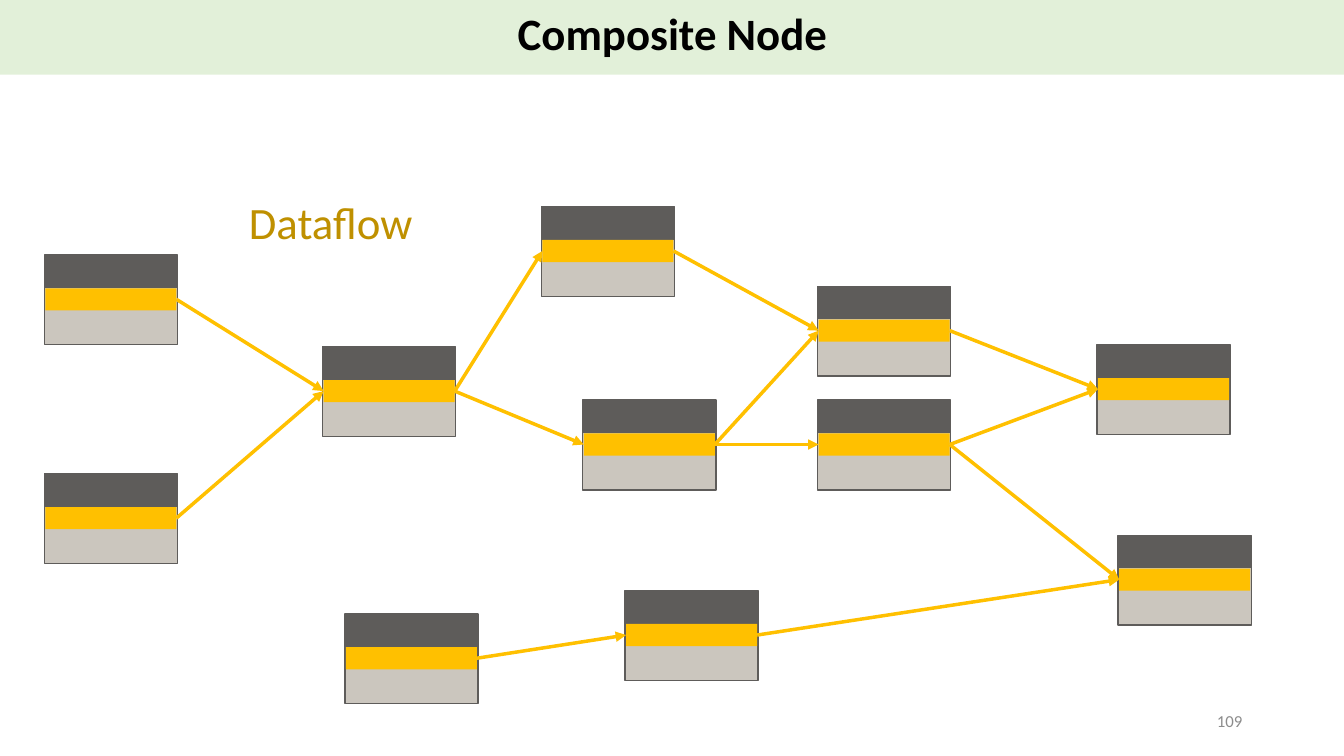
from lxml.etree import SubElement
from pptx import Presentation
from pptx.dml.color import RGBColor
from pptx.enum.shapes import MSO_CONNECTOR, MSO_SHAPE
from pptx.enum.text import MSO_ANCHOR, PP_ALIGN
from pptx.oxml.ns import qn
from pptx.util import Inches, Pt

COLORS = {
    "header": "5E5C5A",
    "body": "CBC6BE",
    "flow": "FFC000",
    "banner": "E2F0D9",
    "title": "000000",
    "label": "BF9000",
    "number": "8C8C8C",
}

NODE_WIDTH = 1.32
HEADER_HEIGHT = 0.32
BODY_HEIGHT = 0.57
BAND_INSET = 0.01
BAND_HEIGHT = 0.22
LEFT_SIDE, RIGHT_SIDE = 1, 3

NODES = {
    "source_top": (0.44, 2.53),
    "source_bottom": (0.44, 4.7),
    "merge": (3.2, 3.44),
    "branch_top": (5.37, 2.05),
    "branch_bottom": (5.78, 3.97),
    "join_top": (8.11, 2.84),
    "join_bottom": (8.11, 3.97),
    "sink_top": (10.88, 3.42),
    "sink_bottom": (11.09, 5.31),
    "side_source": (3.42, 6.09),
    "side_step": (6.2, 5.86),
}

FLOWS = [
    ("source_top", "merge"),
    ("source_bottom", "merge"),
    ("merge", "branch_top"),
    ("merge", "branch_bottom"),
    ("branch_top", "join_top"),
    ("branch_bottom", "join_top"),
    ("branch_bottom", "join_bottom"),
    ("join_top", "sink_top"),
    ("join_bottom", "sink_top"),
    ("join_bottom", "sink_bottom"),
    ("side_source", "side_step"),
    ("side_step", "sink_bottom"),
]


def rgb(name):
    return RGBColor.from_string(COLORS[name])


def add_block(page, left, top, width, height, fill, outline=None):
    block = page.shapes.add_shape(
        MSO_SHAPE.RECTANGLE, Inches(left), Inches(top), Inches(width), Inches(height)
    )
    block.shadow.inherit = False
    block.fill.solid()
    block.fill.fore_color.rgb = rgb(fill)
    if outline:
        block.line.color.rgb = rgb(outline)
        block.line.width = Pt(1)
    else:
        block.line.fill.background()
    return block


def add_node(page, left, top):
    body_top = top + HEADER_HEIGHT
    add_block(page, left, body_top, NODE_WIDTH, BODY_HEIGHT, "body", "header")
    add_block(page, left, top, NODE_WIDTH, HEADER_HEIGHT, "header", "header")
    return add_block(
        page,
        left + BAND_INSET,
        body_top + BAND_INSET,
        NODE_WIDTH - 2 * BAND_INSET,
        BAND_HEIGHT,
        "flow",
    )


def add_flow(page, start, end):
    arrow = page.shapes.add_connector(MSO_CONNECTOR.STRAIGHT, 0, 0, 0, 0)
    arrow.begin_connect(start, RIGHT_SIDE)
    arrow.end_connect(end, LEFT_SIDE)
    arrow.line.color.rgb = rgb("flow")
    arrow.line.width = Pt(2.5)
    SubElement(arrow.line._get_or_add_ln(), qn("a:tailEnd"), type="triangle")
    SubElement(arrow._element.spPr, qn("a:effectLst"))


def add_text(page, text, left, top, width, height, color, font, para_format, anchor):
    box = page.shapes.add_textbox(
        Inches(left), Inches(top), Inches(width), Inches(height)
    )
    frame = box.text_frame
    frame.word_wrap = True
    frame.vertical_anchor = anchor
    para = frame.paragraphs[0]
    for name, value in para_format.items():
        setattr(para, name, value)
    span = para.add_run()
    span.text = text
    for name, value in {"name": "Calibri", **font}.items():
        setattr(span.font, name, value)
    span.font.color.rgb = rgb(color)


def main():
    deck = Presentation()
    deck.slide_width = Inches(13.33)
    deck.slide_height = Inches(7.5)
    page = deck.slides.add_slide(deck.slide_layouts[6])

    bands = {name: add_node(page, *place) for name, place in NODES.items()}
    for start, end in FLOWS:
        add_flow(page, bands[start], bands[end])

    add_block(page, 0, 0, 13.33, 0.74, "banner")
    add_text(
        page, "Composite Node", 4.58, -0.01, 4.18, 0.74, "title",
        {"size": Pt(32), "bold": True},
        {"alignment": PP_ALIGN.CENTER, "line_spacing": 0.9},
        MSO_ANCHOR.MIDDLE,
    )
    add_text(
        page, "Dataflow", 1.67, 1.88, 3.22, 0.64, "label",
        {"size": Pt(32)}, {"alignment": PP_ALIGN.CENTER}, MSO_ANCHOR.TOP,
    )
    add_text(
        page, "109", 9.42, 6.95, 3, 0.4, "number",
        {"size": Pt(12)}, {"alignment": PP_ALIGN.RIGHT}, MSO_ANCHOR.MIDDLE,
    )
    deck.save("out.pptx")


if __name__ == "__main__":
    main()
